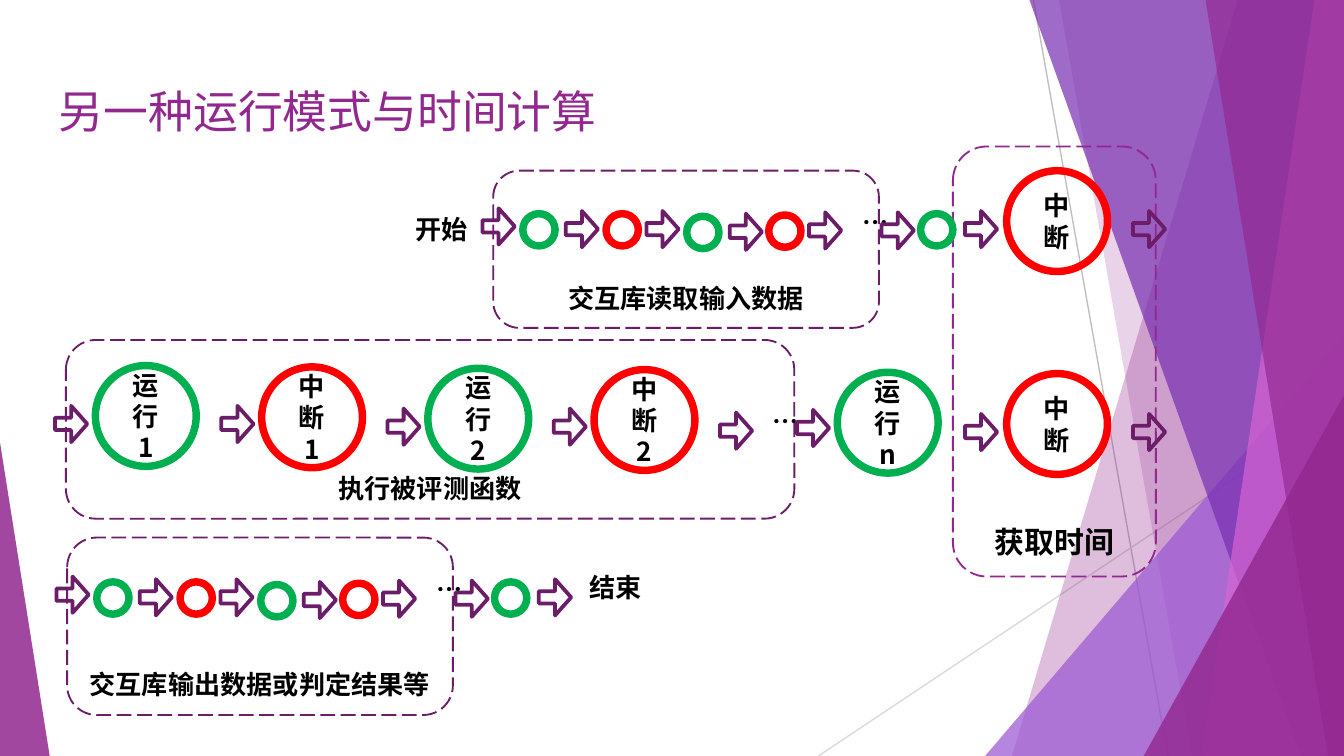
from lxml import etree
from pptx import Presentation, util as u
from pptx.dml.color import RGBColor
from pptx.enum import dml, shapes, text
from pptx.oxml.ns import qn

WIDTH = 10
HEIGHT = WIDTH * 9 / 16
THEME = {
    "purple": "92278F", "dark": "6C1D6A", "violet": "762EB1", "lilac": "9B57D3",
    "pink": "D665D3", "run": "00B050", "stop": "FF0000", "ink": "000000",
    "grey": "BFBFBF", "pale": "D9D9D9",
    "title_font": "Cabin", "label_font": "Noto Sans CJK SC",
    "title_size": 24, "label_size": 14, "large_size": 16,
}

TITLE = "另一种运行模式与时间计算"

# Background lines: start, end, colour
RAYS = [((7.69, 0), (8.69, HEIGHT), "grey"), ((WIDTH, 3.02), (6.09, HEIGHT), "pale")]
# Bands reach the right edge: (top x, bottom x). Triangles stand on the bottom
# edge: (left, top, width, apex position). Then colour and opacity in percent.
FACETS = [
    ((9.21, 7.53), "purple", 30),
    ((7.88, 8.87), "purple", 20),
    ((7.33, 2.5, 2.67, 1), "lilac", 72),
    ((7.66, 9.68), "violet", 70),
    ((9.78, 8.94), "pink", 70),
    ((8.97, 9.88), "purple", 65),
    ((8.51, 2.94, 1.49, 1), "purple", 80),
    ((0, 3.29, 0.37, 0), "purple", 85),
]

# Dashed groups: label, (left, top, width, height), line colour, type size
GROUPS = [
    ("交互库读取输入数据", (3.67, 1.27, 2.87, 1.17), "dark", "label_size"),
    ("执行被评测函数", (0.49, 2.53, 5.42, 1.33), "dark", "label_size"),
    ("获取时间", (7.09, 1.09, 1.51, 3.2), "purple", "large_size"),
    ("交互库输出数据或判定结果等", (0.5, 4, 2.87, 1.32), "dark", "label_size"),
]
NOTES = [
    ("开始", (2.97, 1.33, 0.63, 0.75)),
    ("结束", (4.28, 3.99, 0.6, 0.75)),
    ("…", (6.32, 1.27, 0.22, 0.76)),
    ("…", (5.65, 2.75, 0.22, 0.76)),
    ("…", (3.15, 4, 0.22, 0.76)),
]

# The input and output chains share one pattern, measured from the first arrow
CHAIN_STARTS = [(3.59, 1.55), (0.42, 4.29)]
CHAIN_ARROWS = [(0, 0), (0.62, 0.02), (1.22, 0.02), (1.84, 0.04),
                (2.43, 0.03), (2.97, 0.03), (3.59, 0.02)]
CHAIN_DOTS = [(0.3, 0.04, "run"), (0.92, 0.04, "stop"), (1.52, 0.06, "run"),
              (2.13, 0.05, "stop"), (3.26, 0.04, "run")]

# The evaluated function alternates runs and interrupts at an equal step
STAGES = [("运行\n1", "run"), ("中断\n1", "stop"), ("运行\n2", "run"), ("中断\n2", "stop")]
STAGE_LEFT, STAGE_TOP, STAGE_DRIFT = 0.71, 2.72, 0.01
STEP = (4.42 - STAGE_LEFT) / (len(STAGES) - 1)
STAGE_ARROW_LEFT, STAGE_ARROW_TOPS = 0.41, [3.02, 3.02, 3.04, 3.04, 3.07]
LAST_STAGES = [("运行\nn", 6.23, 2.77, "run"), ("中断", 7.49, 2.78, "stop"),
               ("中断", 7.49, 1.27, "stop")]
LAST_ARROWS = [(5.93, 3.05), (7.18, 3.08), (8.43, 3.08), (8.43, 1.57)]

DOT, CIRCLE, ARROW = (0.24, 0.24), (0.75, 0.75), (0.24, 0.27)
KIND = shapes.MSO_SHAPE
ANCHOR = text.MSO_ANCHOR

deck = Presentation()
deck.slide_width, deck.slide_height = u.Inches(WIDTH), u.Inches(HEIGHT)
page = deck.slides.add_slide(deck.slide_layouts[6])


def inches(values):
    return [u.Inches(value) for value in values]


def colour(name):
    return RGBColor.from_string(THEME[name])


def write(box, words, size="label_size", anchor=ANCHOR.MIDDLE, font="label_font",
          ink="ink", bold=True, align=text.PP_ALIGN.CENTER):
    frame = box.text_frame
    frame.word_wrap, frame.vertical_anchor = True, anchor
    para = frame.paragraphs[0]
    para.text, para.alignment = words, align
    for span in para.runs:
        span.font.name, span.font.size = THEME[font], u.Pt(THEME[size])
        span.font.bold, span.font.color.rgb = bold, colour(ink)
        east_asian = etree.SubElement(span.font._element, qn("a:ea"))
        east_asian.set("typeface", THEME["label_font"])


def outline(kind, place, line, weight):
    """Add an unfilled preset shape."""
    shape = page.shapes.add_shape(kind, *inches(place))
    shape.shadow.inherit = False
    shape.fill.background()
    shape.line.color.rgb, shape.line.width = colour(line), u.Pt(weight)
    return shape


def arrow(left, top):
    shape = outline(KIND.RIGHT_ARROW, (left, top, *ARROW), "dark", 2)
    shape.adjustments[0], shape.adjustments[1] = 0.34, 0.5


def circle(words, left, top, line):
    write(outline(KIND.OVAL, (left, top, *CIRCLE), line, 4), words)


def facet(geometry, fill, opacity):
    """Add one translucent background band or triangle."""
    if len(geometry) == 2:
        top_x, bottom_x = geometry
        points = [(WIDTH, 0), (WIDTH, HEIGHT), (bottom_x, HEIGHT)]
        builder = page.shapes.build_freeform(*inches((top_x, 0)))
        builder.add_line_segments([inches(point) for point in points], close=True)
        shape = builder.convert_to_shape()
    else:
        left, top, width, apex = geometry
        shape = page.shapes.add_shape(
            KIND.ISOSCELES_TRIANGLE, *inches((left, top, width, HEIGHT - top)))
        shape.adjustments[0] = apex
    shape.shadow.inherit = False
    shape.line.fill.background()
    shape.fill.solid()
    shape.fill.fore_color.rgb = colour(fill)
    tint = shape._element.spPr.find(qn("a:solidFill"))[0]
    etree.SubElement(tint, qn("a:alpha")).set("val", str(opacity * 1000))


for start, end, line in RAYS:
    ray = page.shapes.add_connector(shapes.MSO_CONNECTOR.STRAIGHT, *inches(start + end))
    ray.line.color.rgb, ray.line.width = colour(line), u.Pt(0.75)
    etree.SubElement(ray._element.spPr, qn("a:effectLst"))
for geometry, fill, opacity in FACETS:
    facet(geometry, fill, opacity)

title = page.shapes.add_textbox(*inches((0.34, 0.49, 9.32, 0.63)))
write(title, TITLE, "title_size", ANCHOR.BOTTOM, "title_font", "purple", False,
      text.PP_ALIGN.LEFT)
title.text_frame.margin_top = title.text_frame.margin_bottom = u.Inches(0.1)

for label, place, line, size in GROUPS:
    group = outline(KIND.ROUNDED_RECTANGLE, place, line, 1)
    group.line.dash_style = dml.MSO_LINE.LONG_DASH
    write(group, label, size, ANCHOR.BOTTOM)
for words, place in NOTES:
    write(page.shapes.add_textbox(*inches(place)), words)

for left, top in CHAIN_STARTS:
    for across, down in CHAIN_ARROWS:
        arrow(left + across, top + down)
    for across, down, line in CHAIN_DOTS:
        outline(KIND.OVAL, (left + across, top + down, *DOT), line, 4)

for index, (words, line) in enumerate(STAGES):
    circle(words, STAGE_LEFT + index * STEP, STAGE_TOP + index * STAGE_DRIFT, line)
for index, top in enumerate(STAGE_ARROW_TOPS):
    arrow(STAGE_ARROW_LEFT + index * STEP, top)
for stage in LAST_STAGES:
    circle(*stage)
for place in LAST_ARROWS:
    arrow(*place)

deck.save("out.pptx")
